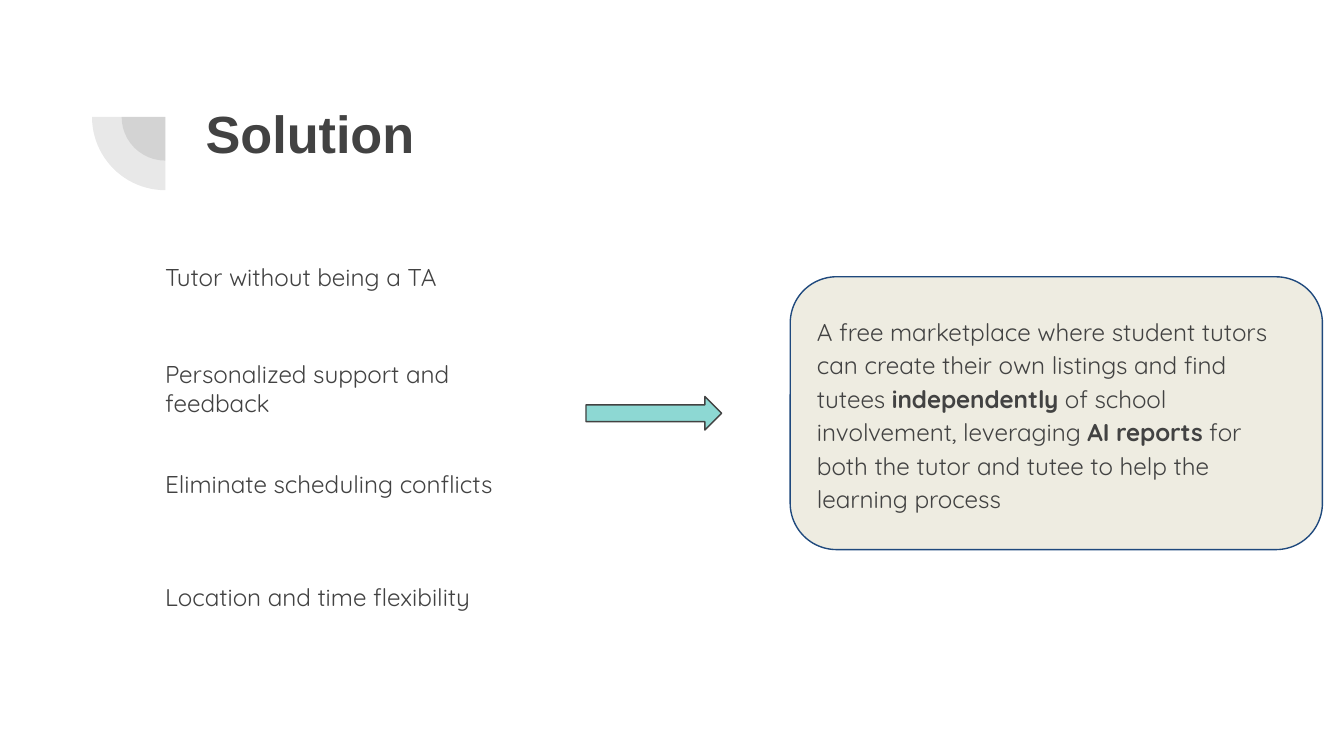
from lxml import etree
from pptx import Presentation
from pptx.dml.color import RGBColor
from pptx.enum import shapes, text
from pptx.oxml import ns
from pptx.util import Inches, Pt

GREY = RGBColor(0x42, 0x42, 0x42)
CREAM = RGBColor(0xEE, 0xEC, 0xE1)
NAVY = RGBColor(0x1F, 0x49, 0x7D)
TEAL = RGBColor(0x8D, 0xD8, 0xD3)
SHAPE = shapes.MSO_SHAPE


class Deck:
    title_font, body_font = "Arial", "Quicksand"
    title_size, body_size = Pt(28), Pt(13)
    inset = Inches(0.1)

    def __init__(self, prs):
        self.s = prs.slides.add_slide(prs.slide_layouts[5])

    def frame(self, sp, anchor=text.MSO_ANCHOR.TOP):
        tf = sp.text_frame
        tf.word_wrap = True
        tf.auto_size = text.MSO_AUTO_SIZE.NONE
        tf.vertical_anchor = anchor
        tf.margin_left = tf.margin_right = self.inset
        tf.margin_top = tf.margin_bottom = self.inset
        return tf

    def style(self, p, font, size, bold=None):
        p.alignment = text.PP_ALIGN.LEFT
        p.font.name, p.font.size, p.font.bold = font, size, bold
        p.font.color.rgb = GREY

    def title(self, words, x, y, w, h):
        sp = self.s.shapes.title
        sp.left, sp.top, sp.width, sp.height = map(Inches, (x, y, w, h))
        tf = self.frame(sp)
        tf.text = words
        self.style(tf.paragraphs[0], self.title_font, self.title_size, True)

    def label(self, words, x, y, w, h):
        tf = self.frame(self.s.shapes.add_textbox(*map(Inches, (x, y, w, h))))
        tf.text = words
        self.style(tf.paragraphs[0], self.body_font, self.body_size)

    def shape(self, kind, x, y, w, h, fill, line=None, adj=()):
        sp = self.s.shapes.add_shape(kind, *map(Inches, (x, y, w, h)))
        sp.shadow.inherit = False
        sp.fill.solid()
        sp.fill.fore_color.rgb = fill
        if line is None:
            sp.line.fill.background()
        else:
            sp.line.color.rgb = line
            sp.line.width = Pt(0.75)
        for i, value in enumerate(adj):
            sp.adjustments[i] = value
        return sp

    def quarter(self, cx, cy, size):
        """Translucent quarter disc, lower left of its centre."""
        sp = self.shape(SHAPE.PIE, cx - size / 2, cy - size / 2, size, size,
                        GREY, adj=(108, 162))
        sp.rotation = 270
        clr = sp.fill._xPr.find(".//" + ns.qn("a:srgbClr"))
        etree.SubElement(clr, ns.qn("a:alpha"), val="12000")

    def card(self, runs, x, y, w, h):
        sp = self.shape(SHAPE.ROUNDED_RECTANGLE, x, y, w, h, CREAM, NAVY, (0.17,))
        p = self.frame(sp, text.MSO_ANCHOR.MIDDLE).paragraphs[0]
        self.style(p, self.body_font, self.body_size)
        p.line_spacing, p.space_after = 1.15, Pt(12)
        for words, bold in runs:
            r = p.add_run()
            r.text, r.font.bold = words, bold


def main():
    # Widescreen 16:9
    prs = Presentation()
    prs.slide_width, prs.slide_height = Inches(10), Inches(10 * 9 / 16)
    deck = Deck(prs)

    # Heading with its corner ornament
    for size in (0.65, 1.09):
        deck.quarter(1.23, 0.87, size)
    deck.title("Solution", 1.43, 0.65, 7.69, 1.09)

    # Proposed solution
    deck.card([
        ("A free marketplace where student tutors can create their own "
         "listings and find tutees ", False),
        ("independently", True),
        (" of school involvement, leveraging ", False),
        ("AI reports", True),
        (" for both the tutor and tutee to help the learning process", False),
    ], 5.88, 2.06, 3.96, 2.03)

    # Needs it answers
    for words, y, w in (
        ("Tutor without being a TA", 1.85, 3.61),
        ("Personalized support and feedback", 2.57, 3.11),
        ("Eliminate scheduling conflicts", 3.39, 3.11),
        ("Location and time flexibility", 4.23, 3.11),
    ):
        deck.label(words, 1.13, y, w, 0.63)

    # Arrow from needs to solution
    deck.shape(SHAPE.RIGHT_ARROW, 4.36, 2.95, 1.01, 0.25, TEAL, GREY, (0.5, 0.5))

    prs.save("out.pptx")


if __name__ == "__main__":
    main()
